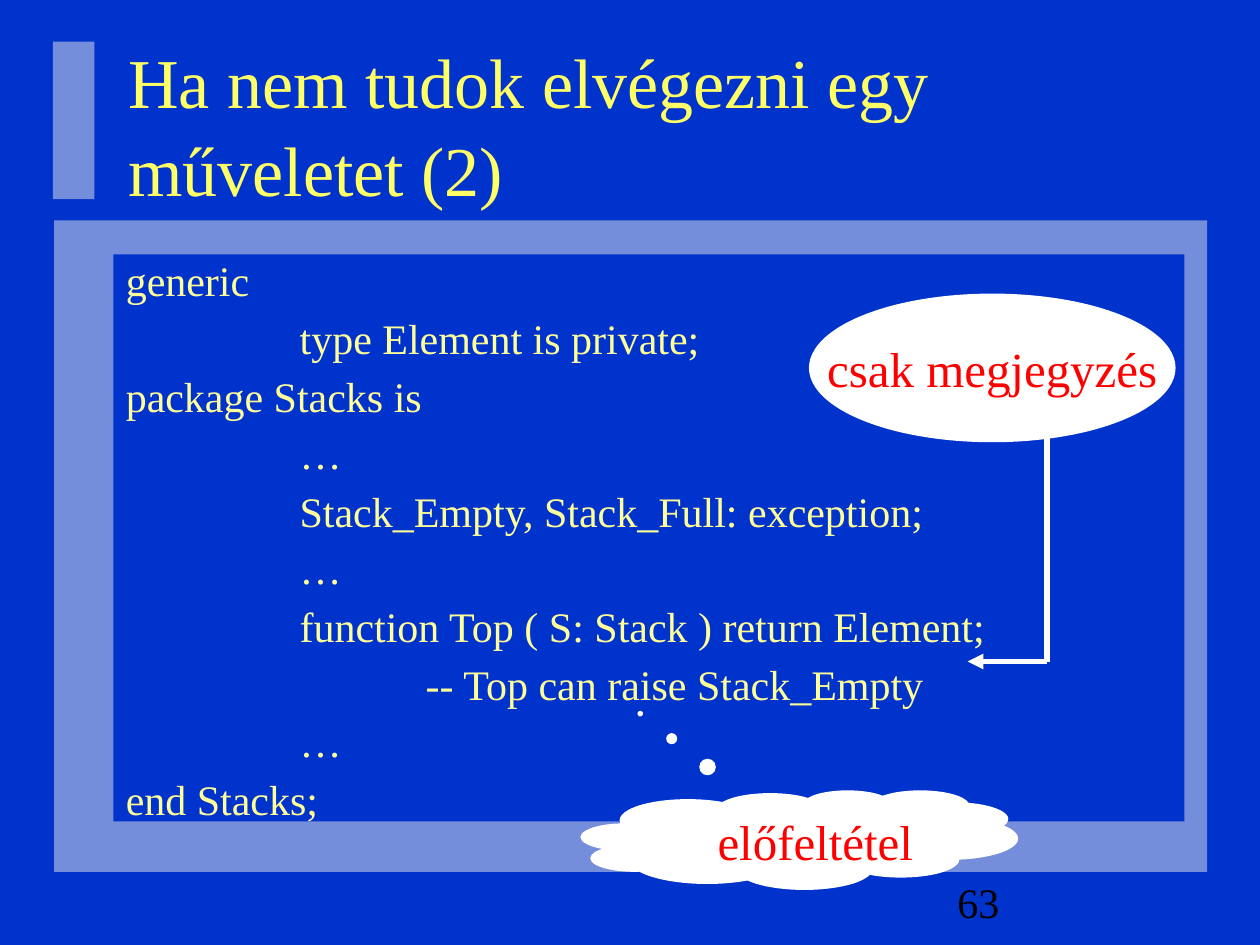
from lxml import etree
from pptx import Presentation
from pptx import util as u
from pptx.dml.color import RGBColor
from pptx.enum import shapes, text
from pptx.oxml.ns import qn

COLORS = {
    "background": "0033CC",
    "frame": "EAEAEA",
    "title": "FFFF66",
    "code": "FFFF99",
    "callout": "FFFFFF",
    "callout_text": "FF0000",
    "number": "000000",
}
FONT = "Times New Roman"
CODE_INDENTS = [0, 1.38, 2.38]
CODE = [
    (0, "generic"),
    (1, "type Element is private;"),
    (0, "package Stacks is"),
    (1, "…"),
    (1, "Stack_Empty, Stack_Full: exception;"),
    (1, "…"),
    (1, "function Top ( S: Stack ) return Element;"),
    (2, "-- Top can raise Stack_Empty"),
    (1, "…"),
    (0, "end Stacks;"),
]


def rgb(name):
    return RGBColor.from_string(COLORS[name])


def box(left, top, width, height):
    return [u.Inches(length) for length in (left, top, width, height)]


def style(paragraph, size, color, align=text.PP_ALIGN.LEFT):
    paragraph.alignment = align
    for run in paragraph.runs:
        run.font.name = FONT
        run.font.size = u.Pt(size)
        run.font.color.rgb = rgb(color)


def indent(paragraph, left, first=0):
    """Set the left margin and first-line indent, in inches."""
    properties = paragraph._p.get_or_add_pPr()
    properties.set("marL", str(u.Inches(left)))
    properties.set("indent", str(u.Inches(first)))


def add_filled(slide, preset, place, color, alpha=None):
    """Add an outline-free shape; alpha is its opacity in percent."""
    shape = slide.shapes.add_shape(preset, *box(*place))
    shape.shadow.inherit = False
    shape.line.fill.background()
    shape.fill.solid()
    shape.fill.fore_color.rgb = rgb(color)
    if alpha is not None:
        tint = shape.fill._xPr.find(".//" + qn("a:srgbClr"))
        etree.SubElement(tint, qn("a:alpha")).set("val", str(alpha * 1000))
    return shape


def add_title(slide, words):
    title = slide.shapes.title
    title.left, title.top, title.width, title.height = box(0.92, 0.26, 8.5, 1.43)
    frame = title.text_frame
    frame.text = words
    frame.auto_size = text.MSO_AUTO_SIZE.NONE
    frame.vertical_anchor = text.MSO_ANCHOR.MIDDLE
    frame.paragraphs[0].line_spacing = 1.04
    style(frame.paragraphs[0], 40, "title")


def add_code(slide):
    panel = add_filled(slide, shapes.MSO_SHAPE.RECTANGLE, (0.9, 2.02, 8.5, 4.5), "background")
    frame = panel.text_frame
    frame.vertical_anchor = text.MSO_ANCHOR.TOP
    frame.text = "\n".join(line for _, line in CODE)
    for paragraph, (level, _) in zip(frame.paragraphs, CODE):
        indent(paragraph, CODE_INDENTS[level])
        paragraph.line_spacing = 0.9
        paragraph.space_before = u.Pt(7)
        style(paragraph, 24, "code")


def add_callout(slide, preset, place, words, anchor, left_indent, wrap):
    callout = add_filled(slide, preset, place, "callout")
    frame = callout.text_frame
    frame.word_wrap = wrap
    frame.vertical_anchor = anchor
    frame.text = words
    paragraph = frame.paragraphs[0]
    indent(paragraph, left_indent, -0.31)
    paragraph.space_before = u.Pt(7)
    style(paragraph, 28, "callout_text", text.PP_ALIGN.CENTER)
    return callout


def add_line(slide, start, end, arrow=False):
    ends = [u.Inches(length) for length in (*start, *end)]
    line = slide.shapes.add_connector(shapes.MSO_CONNECTOR.STRAIGHT, *ends)
    line.line.color.rgb = rgb("callout")
    line.line.width = u.Pt(3)
    if arrow:
        etree.SubElement(line.line._get_or_add_ln(), qn("a:tailEnd")).set("type", "triangle")
    etree.SubElement(line._element.spPr, qn("a:effectLst"))


def add_page_number(slide, number):
    frame = slide.shapes.add_textbox(*box(7.5, 6.91, 2.08, 0.5)).text_frame
    frame.word_wrap = True
    frame.vertical_anchor = text.MSO_ANCHOR.MIDDLE
    frame.text = number
    style(frame.paragraphs[0], 24, "number")


def main():
    deck = Presentation()
    deck.slide_width, deck.slide_height = u.Inches(10), u.Inches(7.5)
    slide = deck.slides.add_slide(deck.slide_layouts[5])
    slide.background.fill.solid()
    slide.background.fill.fore_color.rgb = rgb("background")

    for place in [(0.43, 1.75, 9.15, 5.17), (0.42, 0.33, 0.33, 1.25)]:
        add_filled(slide, shapes.MSO_SHAPE.RECTANGLE, place, "frame", alpha=50)
    add_title(slide, "Ha nem tudok elvégezni egy műveletet (2)")
    add_code(slide)

    precondition = add_callout(
        slide, shapes.MSO_SHAPE.CLOUD_CALLOUT, (4.61, 6.27, 3.47, 0.79),
        "előfeltétel", text.MSO_ANCHOR.TOP, 0.81, True)
    precondition.adjustments[0] = -0.364
    precondition.adjustments[1] = -1.267
    add_callout(
        slide, shapes.MSO_SHAPE.OVAL, (6.42, 2.33, 2.91, 1.18),
        "csak megjegyzés", text.MSO_ANCHOR.MIDDLE, 0.31, False)

    corner = (8.31, 5.25)
    add_line(slide, corner, (7.68, 5.25), arrow=True)
    add_line(slide, corner, (8.31, 3.28))
    add_page_number(slide, "63")
    deck.save("out.pptx")


if __name__ == "__main__":
    main()
